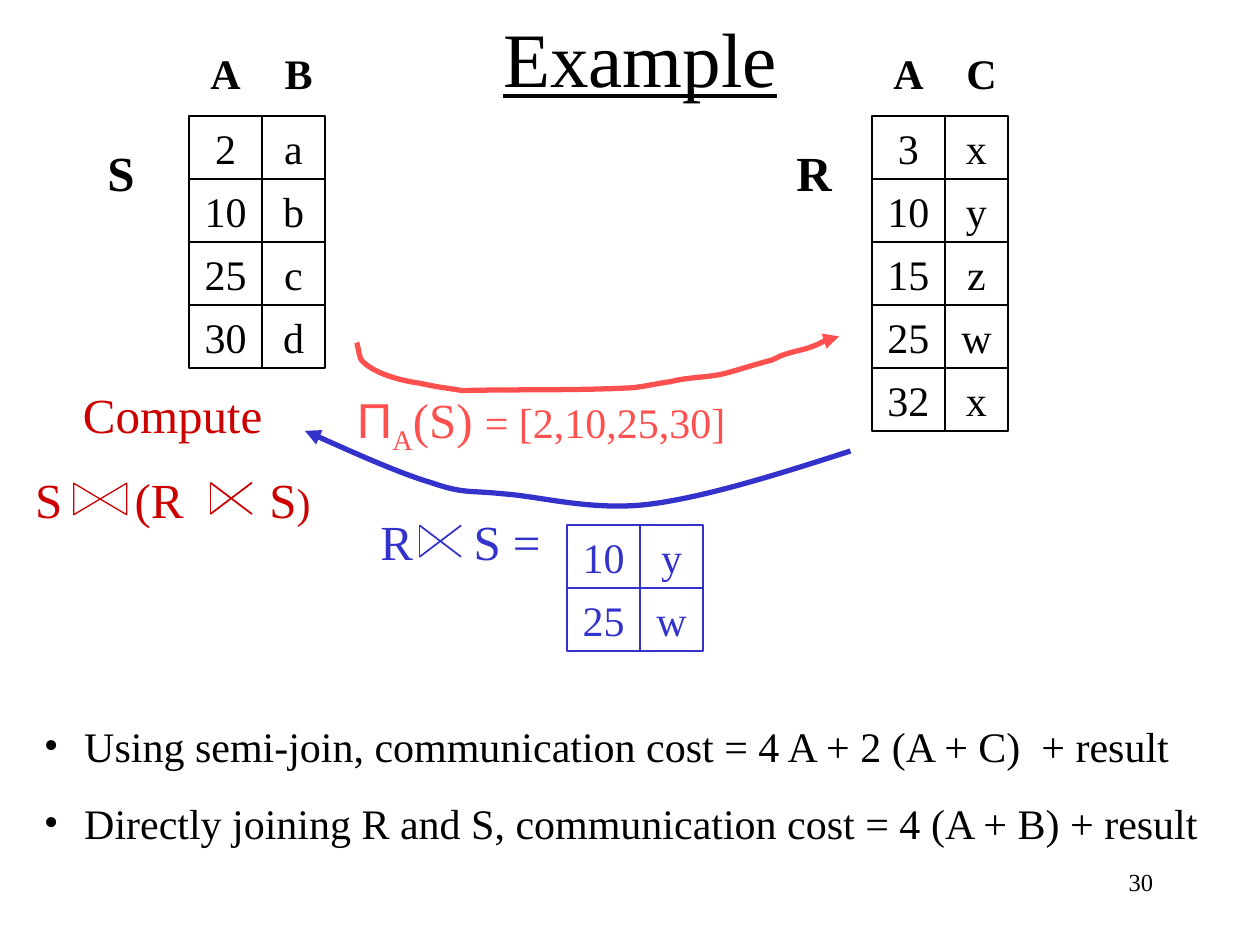
from pptx import Presentation
from pptx.dml.color import RGBColor
from pptx.enum.shapes import MSO_CONNECTOR, MSO_SHAPE
from pptx.enum.text import MSO_ANCHOR, PP_ALIGN
from pptx.oxml.ns import qn
from pptx.oxml.xmlchemy import OxmlElement
from pptx.util import Inches, Pt

LEFT, CENTER, RIGHT = PP_ALIGN.LEFT, PP_ALIGN.CENTER, PP_ALIGN.RIGHT
TOP, MIDDLE = MSO_ANCHOR.TOP, MSO_ANCHOR.MIDDLE
RECT, COLLATE = MSO_SHAPE.RECTANGLE, MSO_SHAPE.FLOWCHART_COLLATE
STRAIGHT = MSO_CONNECTOR.STRAIGHT
FONT = "Times New Roman"
BLACK, CORAL, BLUE, RED, WHITE = "000000", "FF5050", "3333CC", "CC0000", "FFFFFF"
COLS, ROW = (0.58, 0.5), 0.5

# Content: relations as (left, top, colour, rows)
RELATIONS = [
    (1.5, 0.92, BLACK, [("2", "a"), ("10", "b"), ("25", "c"), ("30", "d")]),
    (6.92, 0.92, BLACK, [("3", "x"), ("10", "y"), ("15", "z"), ("25", "w"), ("32", "x")]),
    (4.5, 4.17, BLUE, [("10", "y"), ("25", "w")]),
]
# Relation names and column heads as (text, left, top, size)
LABELS = [
    ("A", 1.5, 0.33, 24), ("B", 2.08, 0.33, 24), ("S", 0.67, 1.08, 28),
    ("A", 6.92, 0.33, 24), ("C", 7.5, 0.33, 24), ("R", 6.17, 1.08, 28),
]
COSTS = [
    "Using semi-join, communication cost = 4 A + 2 (A + C)  + result",
    "Directly joining R and S, communication cost = 4 (A + B) + result",
]
# Semi-join signs as (left, top, colour)
SEMIJOINS = [(3.33, 4.17, BLUE), (1.67, 3.83, RED)]
# Arrows: a start point, then three Bezier points per segment
S_TO_R = [
    (2.83, 2.72), (2.84, 2.73), (2.85, 2.83), (2.87, 2.86), (2.96, 2.96), (3.17, 3.02),
    (3.32, 3.04), (3.37, 3.05), (3.42, 3.06), (3.47, 3.07), (3.54, 3.08), (3.67, 3.1),
    (3.67, 3.1), (4.1, 3.09), (4.54, 3.1), (4.97, 3.08), (5.07, 3.08), (5.23, 3.04),
    (5.32, 3.03), (5.47, 2.99), (5.62, 3), (5.77, 2.96), (5.88, 2.93), (6, 2.89),
    (6.12, 2.86), (6.15, 2.85), (6.18, 2.83), (6.21, 2.82), (6.29, 2.79), (6.37, 2.78),
    (6.45, 2.75), (6.5, 2.73), (6.6, 2.67), (6.66, 2.67),
]
R_TO_S = [
    (6.75, 3.58), (6.19, 3.76), (5.62, 3.94), (5.17, 4), (4.71, 4.06), (4.29, 3.94),
    (4, 3.92), (3.71, 3.89), (3.68, 3.92), (3.42, 3.83), (3.15, 3.75), (2.58, 3.49),
    (2.42, 3.42),
]


def rgb(color):
    return RGBColor.from_string(color)


def element(parent, tag, **attrs):
    el = OxmlElement(tag)
    for name, value in attrs.items():
        el.set(name, str(value))
    parent.append(el)
    return el


def write(p, text, size=24, color=BLACK, font=FONT, bold=False, underline=False, baseline=None):
    r = p.add_run()
    r.text = text
    r.font.size, r.font.name = Pt(size), font
    r.font.bold, r.font.underline = bold, underline
    r.font.color.rgb = rgb(color)
    if baseline:
        r.font._element.set("baseline", str(baseline))


def text_box(s, x, y, w, h, anchor=TOP, wrap=True):
    tf = s.shapes.add_textbox(Inches(x), Inches(y), Inches(w), Inches(h)).text_frame
    tf.word_wrap, tf.vertical_anchor = wrap, anchor
    return tf


def label(s, text, x, y, w, h, align=CENTER, anchor=TOP, **fmt):
    p = text_box(s, x, y, w, h, anchor).paragraphs[0]
    p.alignment = align
    write(p, text, **fmt)
    return p


def tab_stops(p, *stops):
    tabs = element(p._p.get_or_add_pPr(), "a:tabLst")
    for stop in stops:
        element(tabs, "a:tab", pos=Inches(stop), algn="l")


def outlined(s, kind, x, y, w, h, color, width):
    sp = s.shapes.add_shape(kind, Inches(x), Inches(y), Inches(w), Inches(h))
    sp.shadow.inherit = False
    sp.fill.background()
    sp.line.color.rgb, sp.line.width = rgb(color), Pt(width)
    return sp


def relation(s, x, y, color, rows):
    for i, row in enumerate(rows):
        for j, value in enumerate(row):
            cell = outlined(s, RECT, x + sum(COLS[:j]), y + i * ROW, COLS[j], ROW, color, 1.19)
            tf = cell.text_frame
            tf.word_wrap, tf.vertical_anchor = True, TOP
            tf.paragraphs[0].alignment = CENTER
            write(tf.paragraphs[0], value, color=color)


def line(s, start, end, color):
    c = s.shapes.add_connector(STRAIGHT, *(Inches(v) for v in start + end))
    c.line.color.rgb, c.line.width = rgb(color), Pt(1)
    element(c._element.spPr, "a:effectLst")


def semijoin(s, x, y, color, w=0.33, h=0.25):
    line(s, (x + w, y), (x, y + h), color)
    line(s, (x, y), (x + w, y + h), color)
    line(s, (x, y), (x, y + h), color)


def curved_arrow(s, points, color):
    start, *rest = [(Inches(x), Inches(y)) for x, y in points]
    builder = s.shapes.build_freeform(*start)
    builder.add_line_segments(rest, close=False)
    sp = builder.convert_to_shape()
    # Turn each three straight steps into one Bezier segment
    steps = list(sp._element.iter(qn("a:lnTo")))
    for i in range(0, len(steps), 3):
        curve = OxmlElement("a:cubicBezTo")
        steps[i].addprevious(curve)
        for step in steps[i:i + 3]:
            curve.append(step[0])
            step.getparent().remove(step)
    sp.shadow.inherit = False
    sp.fill.background()
    sp.line.color.rgb, sp.line.width = rgb(color), Pt(3)
    element(sp.line._get_or_add_ln(), "a:tailEnd", type="triangle")


def main():
    prs = Presentation()
    prs.slide_width, prs.slide_height = Inches(10), Inches(7.5)
    s = prs.slides.add_slide(prs.slide_layouts[6])

    # Title, relations and their labels
    label(s, "Example", 0.83, 0.17, 8.5, 0.56, anchor=MIDDLE, size=44, underline=True)
    for args in RELATIONS:
        relation(s, *args)
    for text, x, y, size in LABELS:
        label(s, text, x, y, 0.58, 0.5, size=size, bold=True)

    # Projection sent from S to R
    p = text_box(s, 2.72, 3.04, 3.15, 0.63, MIDDLE, wrap=False).paragraphs[0]
    p.alignment = CENTER
    write(p, "Π", 28, CORAL, "Arial")
    write(p, "A", 28, CORAL, baseline=-25000)
    write(p, "(S) ", 28, CORAL)
    write(p, "= [2,10,25,30]", 24, CORAL)
    curved_arrow(s, S_TO_R, CORAL)

    # Semi-join result sent back to S
    curved_arrow(s, R_TO_S, BLUE)
    p = label(s, "R\tS =", 2.92, 4.01, 1.5, 0.57, align=LEFT, size=28, color=BLUE)
    tab_stops(p, 0.74)

    # Expression to compute
    tf = text_box(s, 0.18, 3, 2.58, 1.24)
    p = tf.paragraphs[0]
    p._p.get_or_add_pPr().set("indent", str(Inches(0.38)))
    write(p, "Compute", 28, RED)
    p = tf.add_paragraph()
    p.space_before = Pt(15)
    tab_stops(p, 0.79, 1.86)
    write(p, "S\t(R\tS", 28, RED)
    write(p, ")", 24, RED)
    join = outlined(s, COLLATE, 0.67, 3.75, 0.25, 0.42, RED, 0.75)
    join.rotation = 270
    join.fill.solid()
    join.fill.fore_color.rgb = rgb(WHITE)
    for args in SEMIJOINS:
        semijoin(s, *args)

    # Cost comparison and page number
    tf = text_box(s, 0.25, 5.67, 9.5, 1.11)
    for i, cost in enumerate(COSTS):
        p = tf.add_paragraph() if i else tf.paragraphs[0]
        p.space_before = Pt(15 if i else 0)
        p_pr = p._p.get_or_add_pPr()
        p_pr.set("marL", str(Inches(0.32)))
        p_pr.set("indent", str(-Inches(0.32)))
        element(p_pr, "a:buFont", typeface=FONT)
        element(p_pr, "a:buChar", char="•")
        write(p, cost)
    label(s, "30", 7.17, 6.83, 2.08, 0.5, align=RIGHT, size=14)

    prs.save("out.pptx")


if __name__ == "__main__":
    main()
